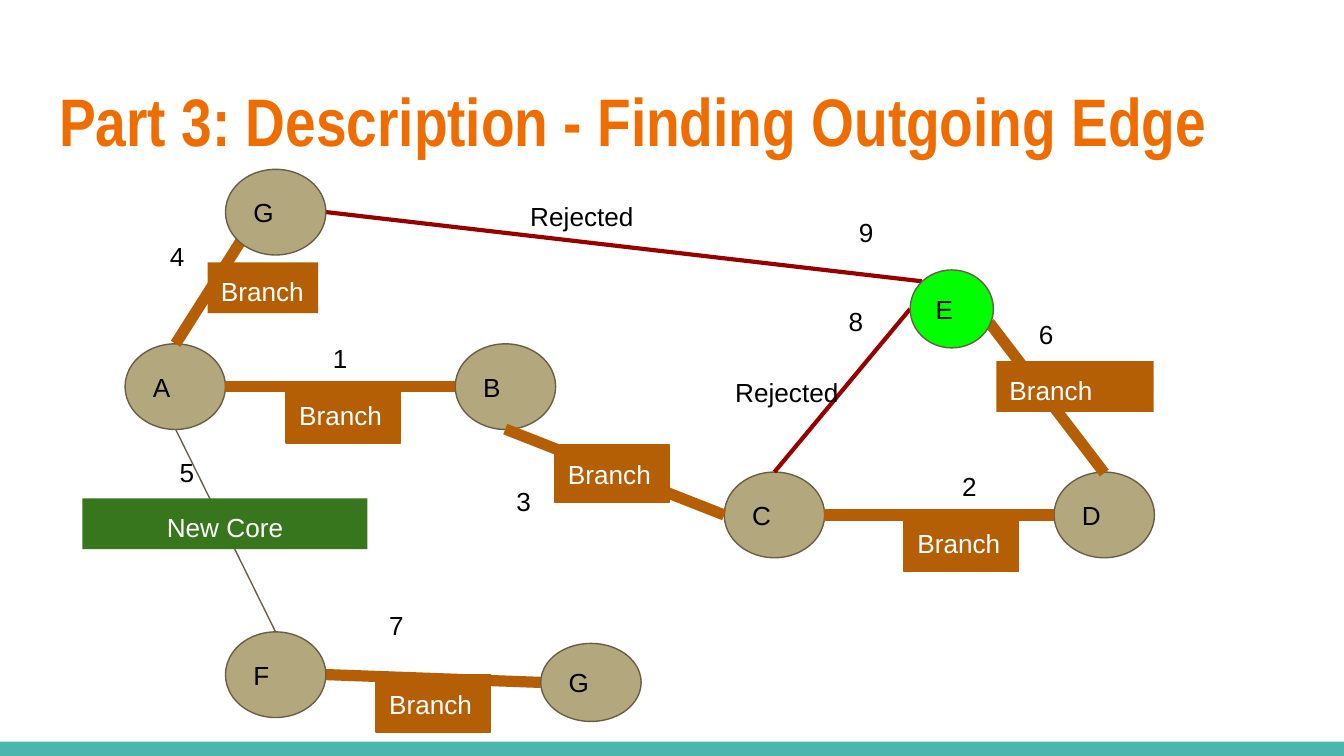
from lxml.etree import SubElement
from pptx import Presentation
from pptx.dml.color import RGBColor
from pptx.enum.shapes import MSO_CONNECTOR as Connector, MSO_SHAPE as Shape
from pptx.enum.text import MSO_ANCHOR as Anchor, PP_ALIGN as Align
from pptx.oxml.ns import qn
from pptx.util import Pt

TEAL = RGBColor(0x4D, 0xB6, 0xAC)
ORANGE = RGBColor(0xEF, 0x6C, 0x00)
TAN = RGBColor(0xB3, 0xA7, 0x7D)
OLIVE = RGBColor(0x69, 0x5D, 0x46)
LIME = RGBColor(0x00, 0xFF, 0x00)
BROWN = RGBColor(0xB4, 0x5F, 0x06)
RED = RGBColor(0x98, 0x00, 0x00)
GREEN = RGBColor(0x38, 0x76, 0x1D)
BLACK = RGBColor(0, 0, 0)
WHITE = RGBColor(255, 255, 255)

INSET = 7.2
NODE_WIDTH, NODE_HEIGHT, SMALL_HEIGHT = 53.8, 45.9, 41.8

MAIN_NODES = [
    ("A", 67, 184.2),
    ("B", 243.9, 184.2),
    ("C", 388, 252.9),
    ("D", 564.7, 252.9),
]
OUTER_NODES = [
    ("E", 487.6, 144.6, 44.6, SMALL_HEIGHT, LIME),
    ("F", 120.8, 338.5),
    ("G", 120.8, 90.7),
    ("G", 289.7, 344.7, NODE_WIDTH, SMALL_HEIGHT),
]
BRANCH_EDGES = [
    (94.1, 184.2, 128.8, 129.5),
    (120.8, 207, 180, 207),
    (243.9, 207, 178, 207),
    (388, 275.9, 270.7, 229.9),
    (441.7, 275.9, 501, 275.9),
    (564.7, 275.9, 498, 275.9),
    (591.6, 253.4, 530, 172.8),
    (289.7, 365.6, 174.4, 361.4),
]
REJECTED_EDGES = [
    (414.9, 252.9, 487.6, 165.5),
    (493.9, 150.7, 174.4, 113.6),
]
PLAIN_TAGS = [
    ("Branch", 533.7, 193.5, 84.4, BROWN, Align.LEFT),
    ("Branch", 111.3, 140.6, 59.2, BROWN, Align.LEFT),
    ("New Core", 44.2, 267, 152.7, GREEN, Align.CENTER),
]
OUTLINED_TAGS = [(153.2, 206.6), (484.4, 275.5), (201.4, 361.4), (297.2, 238.3)]
LABELS = [
    ("1", 171.2, 176.4, 30.2, 24.5),
    ("2", 508.3, 244.9, 30.2, 17.3),
    ("3", 269.5, 252.9, 94.3, 55.4),
    ("4", 84, 121.7, 33.8, 27.4),
    ("5", 89.7, 237.2, 13.7, 27.4),
    ("6", 549.4, 163.6, 23, 24.5),
    ("7", 201.4, 319.5, 84.2, 24.5),
    ("8", 447.6, 156.6, 33.8, 27.4),
    ("9", 453, 108.7, 23, 17.3),
    ("Rejected", 277, 100.3, 105.1, 27.4),
    ("Rejected", 386.8, 194.6, 105.1, 27.4),
]


def write_text(shape, text, size=14, font="Arial", color=BLACK, bold=False,
               align=Align.LEFT, anchor=Anchor.TOP):
    frame = shape.text_frame
    frame.word_wrap = True
    frame.vertical_anchor = anchor
    frame.margin_left = frame.margin_right = Pt(INSET)
    frame.margin_top = frame.margin_bottom = Pt(INSET)
    paragraph = frame.paragraphs[0]
    paragraph.alignment = align
    run = paragraph.add_run()
    run.text = text
    run.font.size = Pt(size)
    run.font.name = font
    run.font.bold = bold
    run.font.color.rgb = color


def add_box(slide, kind, left, top, width, height, fill, outline=None):
    shape = slide.shapes.add_shape(kind, Pt(left), Pt(top), Pt(width), Pt(height))
    shape.shadow.inherit = False
    shape.fill.solid()
    shape.fill.fore_color.rgb = fill
    if outline is None:
        shape.line.fill.background()
    else:
        shape.line.color.rgb = outline
        shape.line.width = Pt(0.75)
    return shape


def add_node(slide, name, left, top, width=NODE_WIDTH, height=NODE_HEIGHT, fill=TAN):
    node = add_box(slide, Shape.OVAL, left, top, width, height, fill, OLIVE)
    write_text(node, name, anchor=Anchor.MIDDLE)


def add_edge(slide, points, color, width):
    edge = slide.shapes.add_connector(Connector.STRAIGHT, *map(Pt, points))
    edge.line.color.rgb = color
    edge.line.width = Pt(width)
    SubElement(edge._element.spPr, qn("a:effectLst"))


def add_tag(slide, text, left, top, width, height, fill, outline=None, align=Align.LEFT):
    tag = add_box(slide, Shape.RECTANGLE, left, top, width, height, fill, outline)
    write_text(tag, text, color=WHITE, align=align)


def add_label(slide, text, *bounds):
    write_text(slide.shapes.add_textbox(*map(Pt, bounds)), text)


def add_title(slide, text):
    title = slide.shapes.title
    title.left, title.top, title.width, title.height = map(Pt, (24.5, 35.3, 671, 55.4))
    write_text(title, text, size=36, font="Arial Narrow", color=ORANGE, bold=True)


def main():
    presentation = Presentation()
    presentation.slide_width = Pt(720)
    presentation.slide_height = Pt(405)
    slide = presentation.slides.add_slide(presentation.slide_layouts[5])

    add_box(slide, Shape.RECTANGLE, 0, 397.4, 720, 7.6, TEAL)
    add_title(slide, "Part 3: Description - Finding Outgoing Edge")
    for node in MAIN_NODES:
        add_node(slide, *node)
    add_edge(slide, (94.1, 230, 147.6, 338.5), OLIVE, 0.75)
    for points in BRANCH_EDGES:
        add_edge(slide, points, BROWN, 6)
    for points in REJECTED_EDGES:
        add_edge(slide, points, RED, 2.25)
    for node in OUTER_NODES:
        add_node(slide, *node)
    for text, left, top, width, fill, align in PLAIN_TAGS:
        add_tag(slide, text, left, top, width, 27.2, fill, align=align)
    for left, top in OUTLINED_TAGS:
        add_tag(slide, "Branch", left, top, 61.4, 30.7, BROWN, BROWN)
    for label in LABELS:
        add_label(slide, *label)

    presentation.save("out.pptx")


if __name__ == "__main__":
    main()
